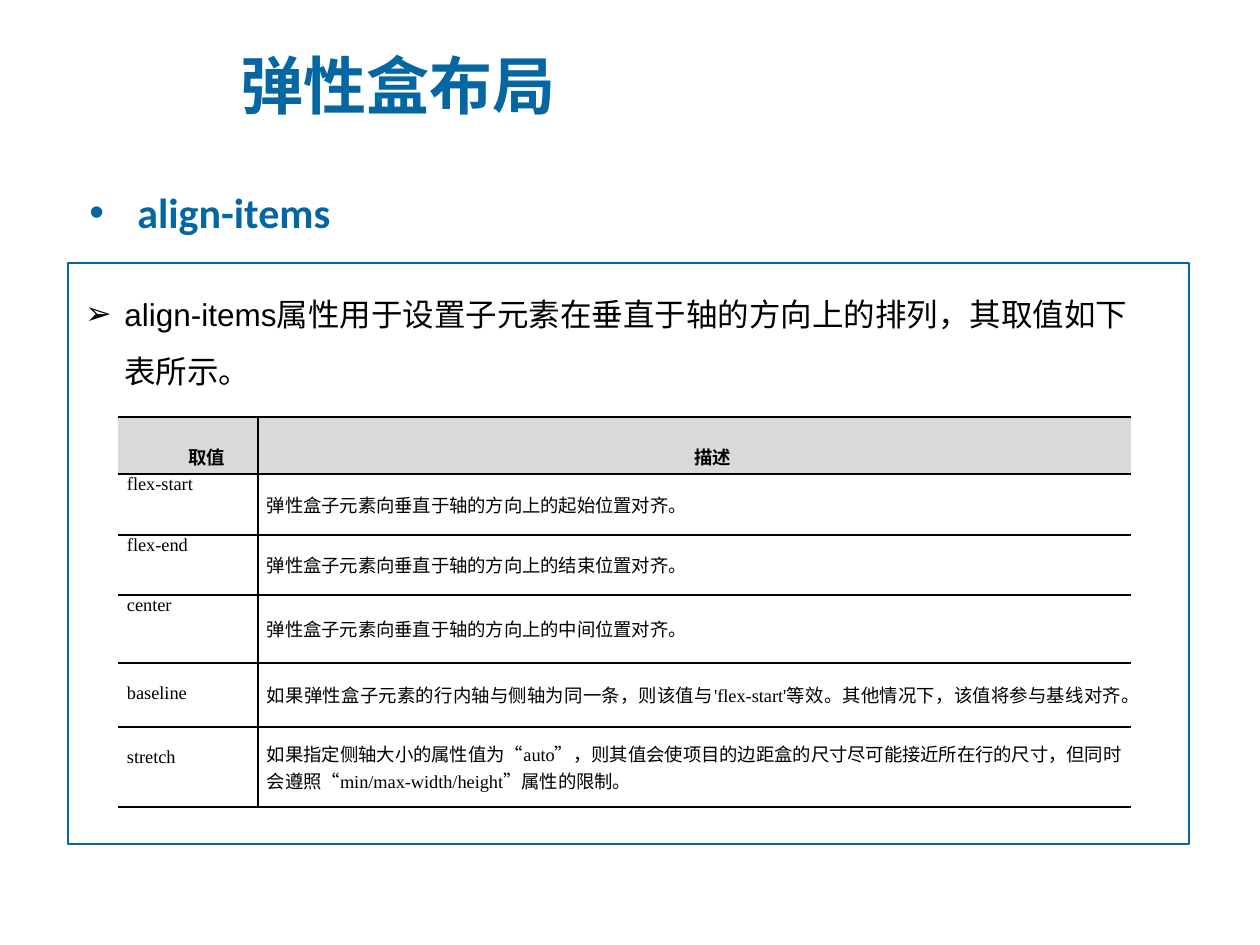
import pptx
import pptx.dml.color
import pptx.enum.shapes
import pptx.enum.text
import pptx.oxml.ns
import pptx.util
import lxml.etree

PX = 914400 // 126
BLUE = pptx.dml.color.RGBColor(0x05, 0x67, 0xA2)
BLACK = pptx.dml.color.RGBColor(0, 0, 0)
WHITE = pptx.dml.color.RGBColor(255, 255, 255)
GREY = pptx.dml.color.RGBColor(0xD9, 0xD9, 0xD9)
CJK = "Noto Sans CJK SC"
ALIGN = pptx.enum.text.PP_ALIGN
ANCHOR = pptx.enum.text.MSO_ANCHOR
Pt = pptx.util.Pt
qn = pptx.oxml.ns.qn


def add_node(parent, tag, **attributes):
    return lxml.etree.SubElement(parent, qn(tag), attributes)


def write(para, text, size, name, color, bold=False):
    span = para.add_run()
    span.text = text
    span.font.color.rgb = color
    for key, value in {"size": Pt(size), "name": name, "bold": bold}.items():
        setattr(span.font, key, value)
    add_node(span.font._element, "a:ea", typeface=CJK)


deck = pptx.Presentation()
deck.slide_width, deck.slide_height = pptx.util.Inches(10), pptx.util.Inches(7.5)
page = deck.slides.add_slide(deck.slide_layouts[6])

frame = page.shapes.add_shape(
    pptx.enum.shapes.MSO_SHAPE.RECTANGLE, 68 * PX, 263 * PX, 1121 * PX, 581 * PX)
frame.shadow.inherit = False
frame.fill.solid()
frame.fill.fore_color.rgb = WHITE
add_node(frame._element.spPr.find(".//" + qn("a:srgbClr")), "a:alpha", val="90000")
frame.line.color.rgb = BLUE
frame.line.width = Pt(0.75)

TEXTS = [
    {"text": "align-items属性用于设置子元素在垂直于轴的方向上的排列，其取值如下表所示。",
     "at": (73, 270, 1087, 127), "font": (18, "Arial", BLACK), "wrap": True,
     "anchor": ANCHOR.TOP, "bullet": "➢", "indent": 39, "format": {"line_spacing": 1.5}},
    {"text": "弹性盒布局",
     "at": (228, 34, 1031, 100), "font": (36, CJK, BLUE, True), "wrap": True,
     "anchor": ANCHOR.MIDDLE, "bullet": None, "indent": 0, "format": {}},
    {"text": "align-items",
     "at": (77, 155, 268, 81), "font": (24, "Calibri", BLUE, True), "wrap": False,
     "anchor": ANCHOR.TOP, "bullet": "•", "indent": 48,
     "format": {"line_spacing": 1.5, "space_before": Pt(5)}},
]
for item in TEXTS:
    box = page.shapes.add_textbox(*(length * PX for length in item["at"]))
    box.text_frame.word_wrap = item["wrap"]
    box.text_frame.vertical_anchor = item["anchor"]
    para = box.text_frame.paragraphs[0]
    for key, value in item["format"].items():
        setattr(para, key, value)
    if item["bullet"]:
        properties = para._p.get_or_add_pPr()
        properties.set("marL", str(item["indent"] * PX))
        properties.set("indent", str(-item["indent"] * PX))
        add_node(properties, "a:buFont", typeface="Arial")
        add_node(properties, "a:buChar", char=item["bullet"])
    write(para, item["text"], *item["font"])

ROWS = [
    ("取值", "描述"),
    ("flex-start", "弹性盒子元素向垂直于轴的方向上的起始位置对齐。"),
    ("flex-end", "弹性盒子元素向垂直于轴的方向上的结束位置对齐。"),
    ("center", "弹性盒子元素向垂直于轴的方向上的中间位置对齐。"),
    ("baseline", "如果弹性盒子元素的行内轴与侧轴为同一条，则该值与'flex-start'等效。"
                 "其他情况下，该值将参与基线对齐。"),
    ("stretch", "如果指定侧轴大小的属性值为“auto”，则其值会使项目的边距盒的尺寸尽可能接近所在行的尺寸，"
                "但同时会遵照“min/max-width/height”属性的限制。"),
]
WIDTHS = [140, 873]
HEIGHTS = [57, 61, 60, 68, 64, 80]
DOUBLE_SPACED = ("baseline", "stretch")

table = page.shapes.add_table(
    len(ROWS), len(WIDTHS), 118 * PX, 417 * PX, sum(WIDTHS) * PX, sum(HEIGHTS) * PX).table
table.first_row = table.horz_banding = False
table._tbl.tblPr.find(qn("a:tableStyleId")).text = "{2D5ABB26-0587-4C30-8999-92F81FD0307C}"
for column, width in zip(table.columns, WIDTHS):
    column.width = width * PX
for row, height in zip(table.rows, HEIGHTS):
    row.height = height * PX

for row_index, texts in enumerate(ROWS):
    header = row_index == 0
    last = row_index == len(ROWS) - 1
    for column_index, text in enumerate(texts):
        described = column_index == 1
        cell = table.cell(row_index, column_index)
        middle = described and not header
        margins = {"margin_left": 9 * PX, "margin_right": 9 * PX,
                   "margin_top": 0, "margin_bottom": 0,
                   "vertical_anchor": ANCHOR.MIDDLE if middle else ANCHOR.TOP}
        for key, value in margins.items():
            setattr(cell, key, value)

        para = cell.text_frame.paragraphs[0]
        if header:
            para.alignment = ALIGN.CENTER
            para._p.get_or_add_pPr().set("indent", str(37 * PX))
        elif described:
            para.alignment = ALIGN.JUSTIFY
        if header or text in DOUBLE_SPACED:
            para.line_spacing = 2.0
        write(para, text, 10.5, "Times New Roman", BLACK, header)

        edges = {"a:lnL" if described else "a:lnR": 1,
                 "a:lnT": 1.5 if header else 1,
                 "a:lnB": 1.5 if last else 1}
        for tag, width in edges.items():
            line = add_node(cell._tc.get_or_add_tcPr(), tag, w=str(Pt(width)))
            add_node(add_node(line, "a:solidFill"), "a:srgbClr", val=str(BLACK))
        if header:
            cell.fill.solid()
            cell.fill.fore_color.rgb = GREY
        else:
            cell.fill.background()

deck.save("out.pptx")
